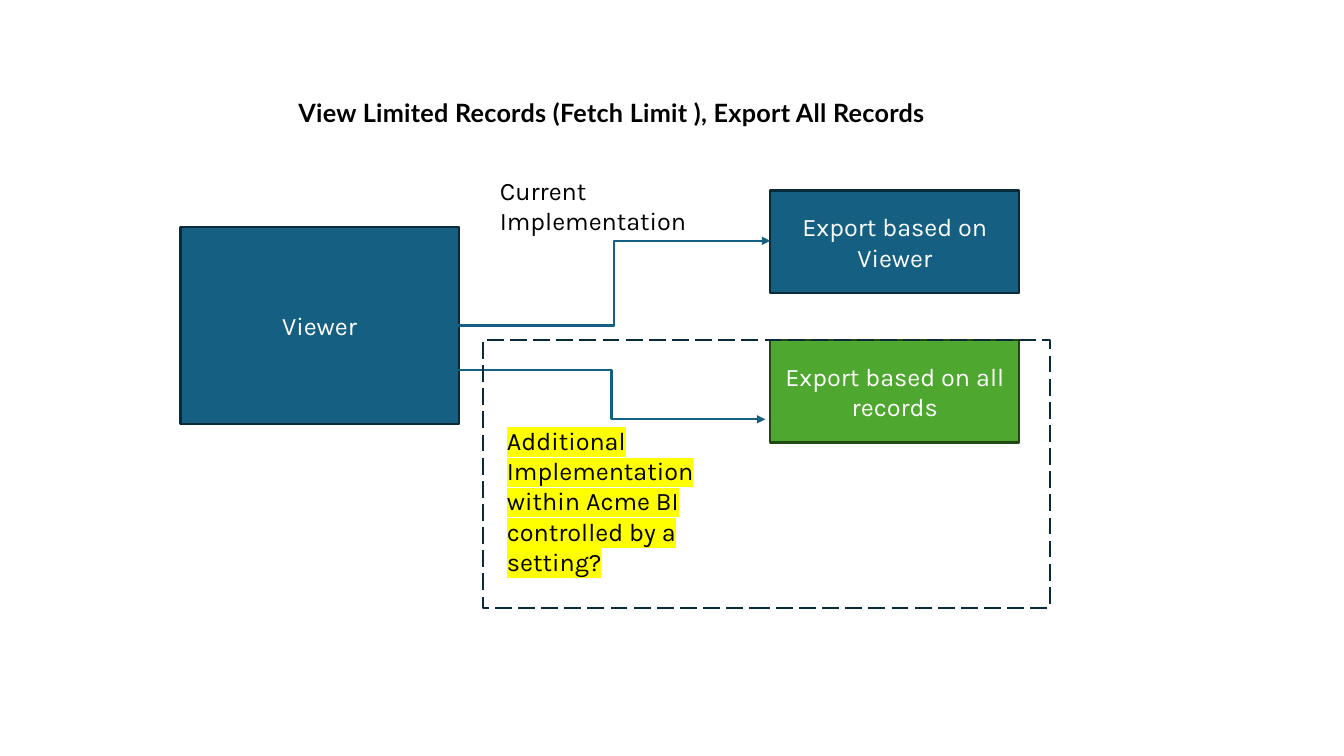
"""Build the slide that compares viewer export with export of all records."""
from lxml import etree
from pptx import Presentation
from pptx.dml.color import RGBColor
from pptx.enum.dml import MSO_LINE
from pptx.enum.shapes import MSO_CONNECTOR, MSO_SHAPE
from pptx.enum.text import MSO_ANCHOR, PP_ALIGN
from pptx.oxml.ns import qn
from pptx.util import Pt

ELBOW = MSO_CONNECTOR.ELBOW
RECTANGLE = MSO_SHAPE.RECTANGLE
LONG_DASH = MSO_LINE.LONG_DASH
TOP, MIDDLE = MSO_ANCHOR.TOP, MSO_ANCHOR.MIDDLE
LEFT, CENTER = PP_ALIGN.LEFT, PP_ALIGN.CENTER

EMU_PER_PX = 9144
TEXT_SIZE = Pt(18)
LINE_WIDTH = Pt(1.5)
COLORS = {
    "blue": "156082",
    "navy": "092A39",
    "green": "4EA72E",
    "dark_green": "224914",
    "white": "FFFFFF",
    "black": "000000",
    "yellow": "FFFF00",
}


def px(*lengths):
    return [length * EMU_PER_PX for length in lengths]


def color(name):
    return RGBColor.from_string(COLORS[name])


def write_text(shape, text, font_name, font_color, alignment, anchor):
    frame = shape.text_frame
    frame.text = text
    frame.word_wrap = True
    frame.vertical_anchor = anchor
    paragraph = frame.paragraphs[0]
    paragraph.alignment = alignment
    run = paragraph.runs[0]
    run.font.name = font_name
    run.font.size = TEXT_SIZE
    run.font.color.rgb = color(font_color)
    return run


def set_title(slide, text, box):
    title = slide.shapes.title
    title.left, title.top, title.width, title.height = px(*box)
    run = write_text(title, text, "Lato", "black", LEFT, TOP)
    run.font.bold = True
    run.font._element.set("spc", "20")


def add_rectangle(slide, box, line_color):
    shape = slide.shapes.add_shape(RECTANGLE, *px(*box))
    shape.shadow.inherit = False
    shape.fill.background()
    shape.line.color.rgb = color(line_color)
    shape.line.width = LINE_WIDTH
    return shape


def add_block(slide, text, box, fill_color, line_color):
    block = add_rectangle(slide, box, line_color)
    block.fill.solid()
    block.fill.fore_color.rgb = color(fill_color)
    write_text(block, text, "Karla", "white", CENTER, MIDDLE)


def add_label(slide, text, box, highlight=None):
    label = slide.shapes.add_textbox(*px(*box))
    run = write_text(label, text, "Karla", "black", LEFT, TOP)
    if highlight:
        mark = etree.Element(qn("a:highlight"))
        etree.SubElement(mark, qn("a:srgbClr"), val=COLORS[highlight])
        run.font._element.find(qn("a:solidFill")).addnext(mark)


def add_arrow(slide, start, end):
    arrow = slide.shapes.add_connector(ELBOW, *px(*start, *end))
    arrow.line.color.rgb = color("blue")
    arrow.line.width = LINE_WIDTH
    properties = arrow._element.spPr
    etree.SubElement(properties.find(qn("a:ln")), qn("a:tailEnd"), type="triangle")
    etree.SubElement(properties, qn("a:effectLst"))


def main():
    presentation = Presentation()
    presentation.slide_width, presentation.slide_height = px(1333, 750)
    slide = presentation.slides.add_slide(presentation.slide_layouts[5])

    set_title(slide, "View Limited Records (Fetch Limit ), Export All Records", (286, 92, 775, 40))
    add_block(slide, "Viewer", (179, 225, 276, 196), "blue", "navy")
    add_block(slide, "Export based on Viewer", (764, 189, 247, 102), "blue", "navy")
    add_block(slide, "Export based on all records", (764, 337, 247, 102), "green", "dark_green")
    add_arrow(slide, (454, 323), (764, 239))
    add_label(slide, "Current Implementation", (486, 169, 233, 71))
    add_arrow(slide, (454, 367), (759, 416))
    add_label(
        slide,
        "Additional Implementation within Acme BI controlled by a setting?",
        (493, 417, 233, 162),
        "yellow",
    )
    scope = add_rectangle(slide, (479, 337, 562, 266), "navy")
    scope.line.dash_style = LONG_DASH

    presentation.save("out.pptx")


if __name__ == "__main__":
    main()
